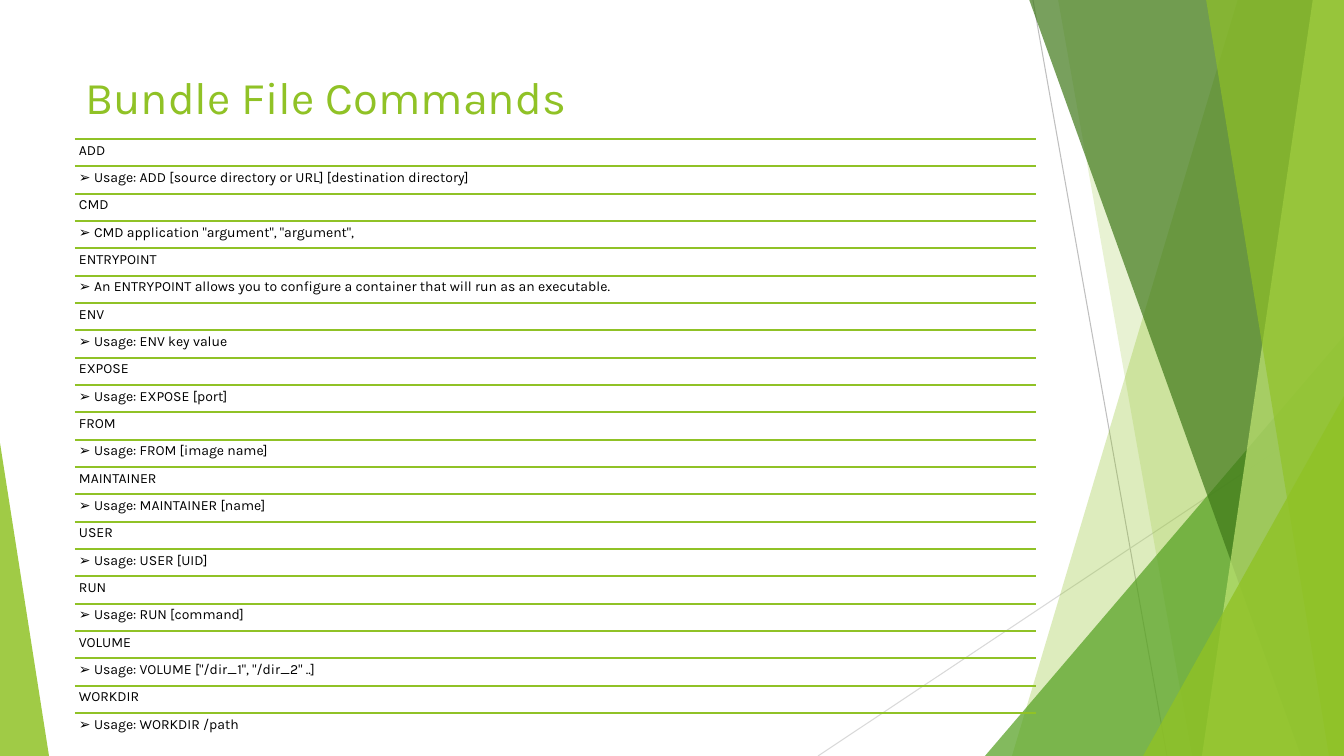
from lxml import etree
from pptx import Presentation
from pptx.dml.color import RGBColor
from pptx.enum.shapes import MSO_CONNECTOR, MSO_SHAPE
from pptx.enum.text import MSO_ANCHOR, PP_ALIGN
from pptx.oxml.ns import qn
from pptx.util import Pt

STRAIGHT = MSO_CONNECTOR.STRAIGHT
TRIANGLE = MSO_SHAPE.ISOSCELES_TRIANGLE
TOP, BOTTOM, LEFT = MSO_ANCHOR.TOP, MSO_ANCHOR.BOTTOM, PP_ALIGN.LEFT

PX = 914400 / 100.8
WIDTH, HEIGHT = 1344, 756
THEME = {
    "font": "Karla", "title_size": 32.4, "row_size": 10,
    "green": "90C226", "leaf": "54A021", "forest": "3F7819", "lime": "C0E474",
    "text": "000000", "gray": "BFBFBF", "pale_gray": "D9D9D9",
}

COMMANDS = [
    ("ADD", "Usage: ADD [source directory or URL] [destination directory]"),
    ("CMD", 'CMD application "argument", "argument",'),
    ("ENTRYPOINT", "An ENTRYPOINT allows you to configure a container that will run as an executable."),
    ("ENV", "Usage: ENV key value"),
    ("EXPOSE", "Usage: EXPOSE [port]"),
    ("FROM", "Usage: FROM [image name]"),
    ("MAINTAINER", "Usage: MAINTAINER [name]"),
    ("USER", "Usage: USER [UID]"),
    ("RUN", "Usage: RUN [command]"),
    ("VOLUME", 'Usage: VOLUME ["/dir_1", "/dir_2" ..]'),
    ("WORKDIR", "Usage: WORKDIR /path"),
]

# Bands run to the right edge: top-left x, bottom-left x, colour, opacity.
# Triangles stand on the bottom edge: left, top, width, apex, colour, opacity.
FACETS = [
    ("band", (1238, 1012), "green", 30),
    ("band", (1058, 1192), "green", 20),
    ("triangle", (985, 336, 359, 1), "leaf", 72),
    ("band", (1029, 1301), "forest", 70),
    ("band", (1313, 1202), "lime", 70),
    ("band", (1206, 1329), "green", 65),
    ("triangle", (1143, 396, 201, 1), "green", 80),
    ("triangle", (0, 443, 49, 0), "green", 85),
]


def px(value):
    return round(value * PX)


def add_line(start, end, color, width):
    line = slide.shapes.add_connector(STRAIGHT, *map(px, start + end))
    line.line.color.rgb = RGBColor.from_string(THEME[color])
    line.line.width = Pt(width)
    etree.SubElement(line._element.spPr, qn("a:effectLst"))


deck = Presentation()
deck.slide_width, deck.slide_height = px(WIDTH), px(HEIGHT)
slide = deck.slides.add_slide(deck.slide_layouts[5])

# Background facets
add_line((1033, 0), (1167, HEIGHT), "gray", 0.75)
add_line((WIDTH, 406), (818, HEIGHT), "pale_gray", 0.75)
for kind, geometry, color, opacity in FACETS:
    if kind == "band":
        top_x, bottom_x = geometry
        builder = slide.shapes.build_freeform(top_x, -1, scale=PX)
        builder.add_line_segments([(WIDTH, -1), (WIDTH, HEIGHT), (bottom_x, HEIGHT)])
        facet = builder.convert_to_shape()
    else:
        left, top, width, apex = geometry
        facet = slide.shapes.add_shape(TRIANGLE, px(left), px(top), px(width), px(HEIGHT - top))
        facet.adjustments[0] = apex
    facet.shadow.inherit = False
    facet.line.fill.background()
    facet.fill.solid()
    facet.fill.fore_color.rgb = RGBColor.from_string(THEME[color])
    color_node = facet._element.spPr.find(qn("a:solidFill"))[0]
    etree.SubElement(color_node, qn("a:alpha"), val=str(opacity * 1000))

# Title
title = slide.shapes.title
title.left, title.top, title.width, title.height = px(75), px(68), px(948), px(61)
title.text_frame.text = "Bundle File Commands"
title.text_frame.vertical_anchor = BOTTOM
para = title.text_frame.paragraphs[0]
para.alignment = LEFT
span = para.runs[0]
span.font.name = THEME["font"]
span.font.size = Pt(THEME["title_size"])
span.font.color.rgb = RGBColor.from_string(THEME["green"])

# Ruled list of commands and their usage
LIST_LEFT, LIST_RIGHT, LIST_TOP, LAST_ROW_TOP = 75, 1036, 139, 713
rows = [text for name, usage in COMMANDS for text in (name, f"➢ {usage}")]
pitch = (LAST_ROW_TOP - LIST_TOP) / (len(rows) - 1)
for index, text in enumerate(rows):
    top = LIST_TOP + index * pitch
    add_line((LIST_LEFT, top), (LIST_RIGHT, top), "green", 1.5)
    box = slide.shapes.add_textbox(px(LIST_LEFT), px(top), px(LIST_RIGHT - LIST_LEFT), px(pitch))
    frame = box.text_frame
    frame.word_wrap = True
    frame.vertical_anchor = TOP
    frame.margin_left = frame.margin_right = frame.margin_top = frame.margin_bottom = px(4)
    frame.text = text
    para = frame.paragraphs[0]
    para.line_spacing = 0.9
    para.space_after = Pt(3.5)
    span = para.runs[0]
    span.font.name = THEME["font"]
    span.font.size = Pt(THEME["row_size"])
    span.font.color.rgb = RGBColor.from_string(THEME["text"])

deck.save("out.pptx")
